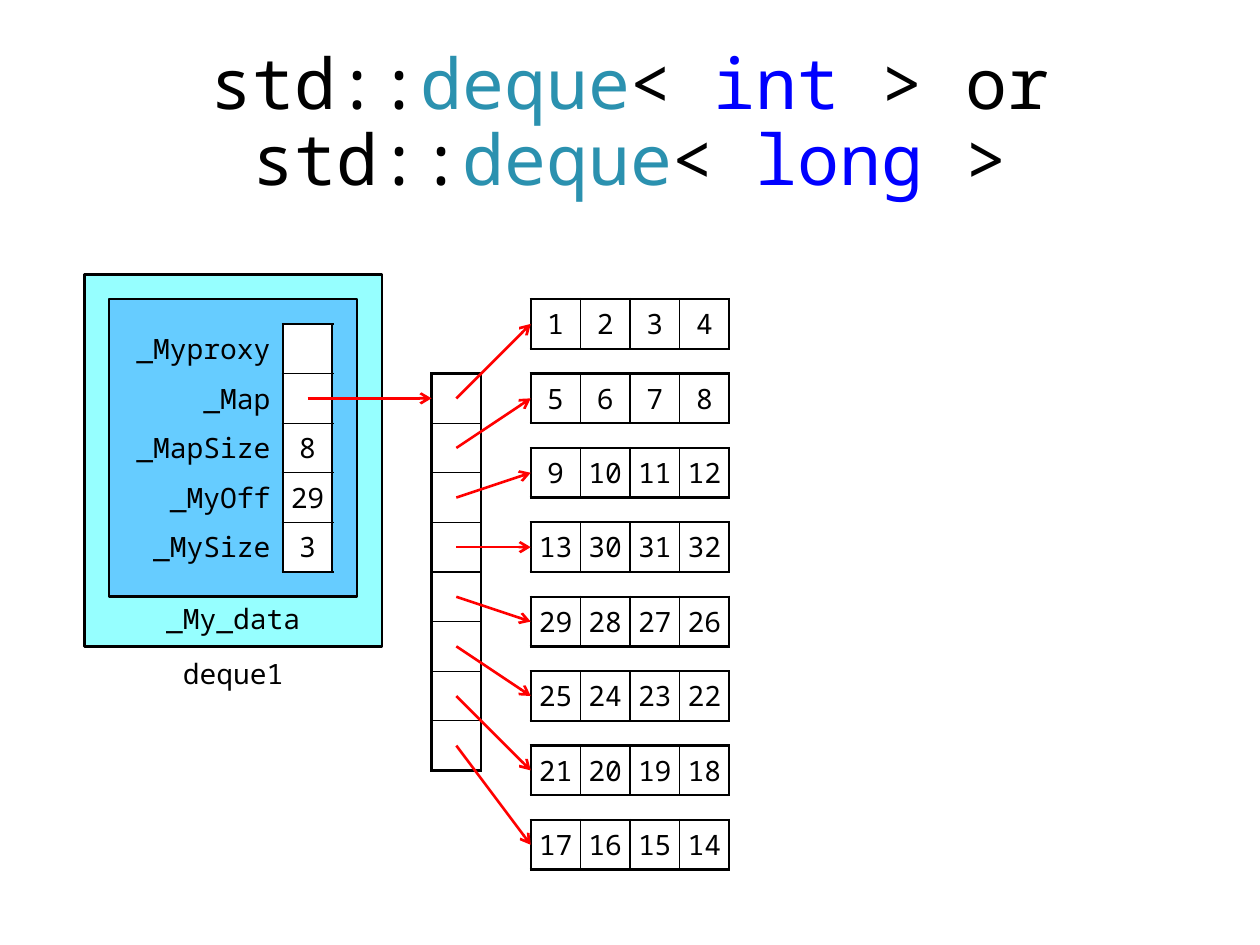
from dataclasses import dataclass
from typing import Optional

from lxml.etree import SubElement
from pptx import Presentation
from pptx.dml.color import RGBColor
from pptx.enum.shapes import MSO_CONNECTOR as Connector, MSO_SHAPE as Shape
from pptx.enum.text import MSO_ANCHOR as Anchor, PP_ALIGN as Align
from pptx.oxml.ns import qn
from pptx.util import Cm, Pt


@dataclass(frozen=True)
class Theme:
    font: str = "Noto Sans Mono"
    title_size: float = 40
    body_size: float = 16
    thick: float = 1.5
    thin: float = 0.75
    ink: str = "000000"
    type_name: str = "2B91AF"
    keyword: str = "0000FF"
    arrow: str = "FF0000"
    paper: str = "FFFFFF"
    outer: str = "96FFFF"
    inner: str = "66CCFF"


@dataclass(frozen=True)
class Box:
    left: float
    top: float
    width: float
    height: float
    color: str = ""

    def lengths(self) -> tuple:
        return Cm(self.left), Cm(self.top), Cm(self.width), Cm(self.height)


@dataclass(frozen=True)
class Arrow:
    start_x: float
    start_y: float
    end_x: float
    end_y: float


@dataclass(frozen=True)
class Grid:
    left: float
    top: float
    rows: list
    label_width: float = 0


THEME = Theme()
CELL = 1.0
HALF = CELL / 2
BUCKET_PITCH = 1.5
FIELDS_LEFT, FIELDS_TOP = 2.2, 6.53
LABEL_WIDTH = 3.5
MAP_LEFT, MAP_TOP = 8.7, 7.53
BUCKET_LEFT, BUCKET_TOP = 10.7, 6.03

TITLE = [
    ("std::", THEME.ink), ("deque", THEME.type_name), ("< ", THEME.ink),
    ("int", THEME.keyword), (" > or std::", THEME.ink),
    ("deque", THEME.type_name), ("< ", THEME.ink),
    ("long", THEME.keyword), (" >", THEME.ink),
]
FIELDS = [
    ["_Myproxy", ""], ["_Map", ""], ["_MapSize", "8"],
    ["_MyOff", "29"], ["_MySize", "3"],
]
BUCKETS = [
    [1, 2, 3, 4], [5, 6, 7, 8], [9, 10, 11, 12], [13, 30, 31, 32],
    [29, 28, 27, 26], [25, 24, 23, 22], [21, 20, 19, 18], [17, 16, 15, 14],
]


def write_runs(paragraph, runs: list, size: float = THEME.body_size,
               align=Align.CENTER) -> None:
    paragraph.alignment = align
    for text, color in runs:
        run = paragraph.add_run()
        run.text = text
        run.font.name = THEME.font
        run.font.size = Pt(size)
        run.font.color.rgb = RGBColor.from_string(color)


def add_text(slide, box: Box, runs: list, *, size: float = THEME.body_size,
             anchor=Anchor.MIDDLE, side: float = 0.25, top: float = 0.1,
             bottom: float = 0, spacing: float = 1.0) -> None:
    frame = slide.shapes.add_textbox(*box.lengths()).text_frame
    frame.word_wrap = True
    frame.vertical_anchor = anchor
    frame.margin_left = frame.margin_right = Cm(side)
    frame.margin_top, frame.margin_bottom = Cm(top), Cm(bottom)
    paragraph = frame.paragraphs[0]
    paragraph.line_spacing = spacing
    write_runs(paragraph, runs, size)


def add_panel(slide, box: Box) -> None:
    shape = slide.shapes.add_shape(Shape.FLOWCHART_PROCESS, *box.lengths())
    shape.shadow.inherit = False
    shape.fill.solid()
    shape.fill.fore_color.rgb = RGBColor.from_string(box.color)
    shape.line.color.rgb = RGBColor.from_string(THEME.ink)
    shape.line.width = Pt(THEME.thick)


def set_borders(cell, widths: dict[str, Optional[float]]) -> None:
    properties = cell._tc.get_or_add_tcPr()
    for index, (side, width) in enumerate(widths.items()):
        line = SubElement(properties, qn(f"a:ln{side}"))
        if width is None:
            SubElement(line, qn("a:noFill"))
        else:
            line.set("w", str(Pt(width)))
            fill = SubElement(line, qn("a:solidFill"))
            SubElement(fill, qn("a:srgbClr")).set("val", THEME.ink)
        properties.insert(index, line)


def add_grid(slide, grid: Grid) -> None:
    row_count, column_count = len(grid.rows), len(grid.rows[0])
    first_value = 1 if grid.label_width else 0
    widths = [CELL] * column_count
    if grid.label_width:
        widths[0] = grid.label_width
    box = Box(grid.left, grid.top, sum(widths), CELL * row_count)
    table = slide.shapes.add_table(row_count, column_count, *box.lengths()).table
    table.first_row = table.horz_banding = False
    for column, width in zip(table.columns, widths):
        column.width = Cm(width)
    for row_index, values in enumerate(grid.rows):
        table.rows[row_index].height = Cm(CELL)
        for column_index, value in enumerate(values):
            cell = table.cell(row_index, column_index)
            is_label = column_index < first_value
            cell.vertical_anchor = Anchor.MIDDLE
            cell.margin_top = cell.margin_bottom = Cm(0.1)
            cell.margin_left = cell.margin_right = Cm(0.25 if is_label else 0)
            write_runs(cell.text_frame.paragraphs[0], [(str(value), THEME.ink)],
                       align=Align.RIGHT if is_label else Align.CENTER)
            if is_label:
                cell.fill.background()
                set_borders(cell, {"L": None, "R": THEME.thick, "T": None, "B": None})
                continue
            cell.fill.solid()
            cell.fill.fore_color.rgb = RGBColor.from_string(THEME.paper)
            edges = {
                "L": column_index == first_value,
                "R": column_index == column_count - 1,
                "T": row_index == 0,
                "B": row_index == row_count - 1,
            }
            set_borders(cell, {side: THEME.thick if outside else THEME.thin
                               for side, outside in edges.items()})


def add_arrow(slide, arrow: Arrow) -> None:
    connector = slide.shapes.add_connector(
        Connector.STRAIGHT, Cm(arrow.start_x), Cm(arrow.start_y),
        Cm(arrow.end_x), Cm(arrow.end_y))
    connector.line.color.rgb = RGBColor.from_string(THEME.arrow)
    connector.line.width = Pt(THEME.thick)
    SubElement(connector.line._get_or_add_ln(), qn("a:tailEnd")).set("type", "arrow")
    SubElement(connector._element.spPr, qn("a:effectLst"))


def main() -> None:
    presentation = Presentation()
    presentation.slide_width, presentation.slide_height = Cm(25.4), Cm(19.05)
    slide = presentation.slides.add_slide(presentation.slide_layouts[6])

    add_text(slide, Box(0.7, 1.02, 24, 3), TITLE, size=THEME.title_size,
             top=0.13, bottom=0.13, spacing=0.9)
    for panel in (Box(1.7, 5.53, 6, 7.5, THEME.outer),
                  Box(2.2, 6.03, 5, 6, THEME.inner)):
        add_panel(slide, panel)
    add_text(slide, Box(3.2, 13.03, 3, 1), [("deque1", THEME.ink)], side=0.2)
    add_text(slide, Box(3.2, 12.03, 3, 1), [("_My_data", THEME.ink)],
             anchor=Anchor.TOP, side=0.1)

    add_grid(slide, Grid(FIELDS_LEFT, FIELDS_TOP, FIELDS, LABEL_WIDTH))
    add_grid(slide, Grid(MAP_LEFT, MAP_TOP, [[""] for _ in BUCKETS]))
    map_center = MAP_TOP + HALF
    add_arrow(slide, Arrow(FIELDS_LEFT + LABEL_WIDTH + HALF, map_center,
                           MAP_LEFT, map_center))
    for index, bucket in enumerate(BUCKETS):
        bucket_top = BUCKET_TOP + index * BUCKET_PITCH
        add_grid(slide, Grid(BUCKET_LEFT, bucket_top, [bucket]))
        add_arrow(slide, Arrow(MAP_LEFT + HALF, map_center + index * CELL,
                               BUCKET_LEFT, bucket_top + HALF))
    presentation.save("out.pptx")


if __name__ == "__main__":
    main()
